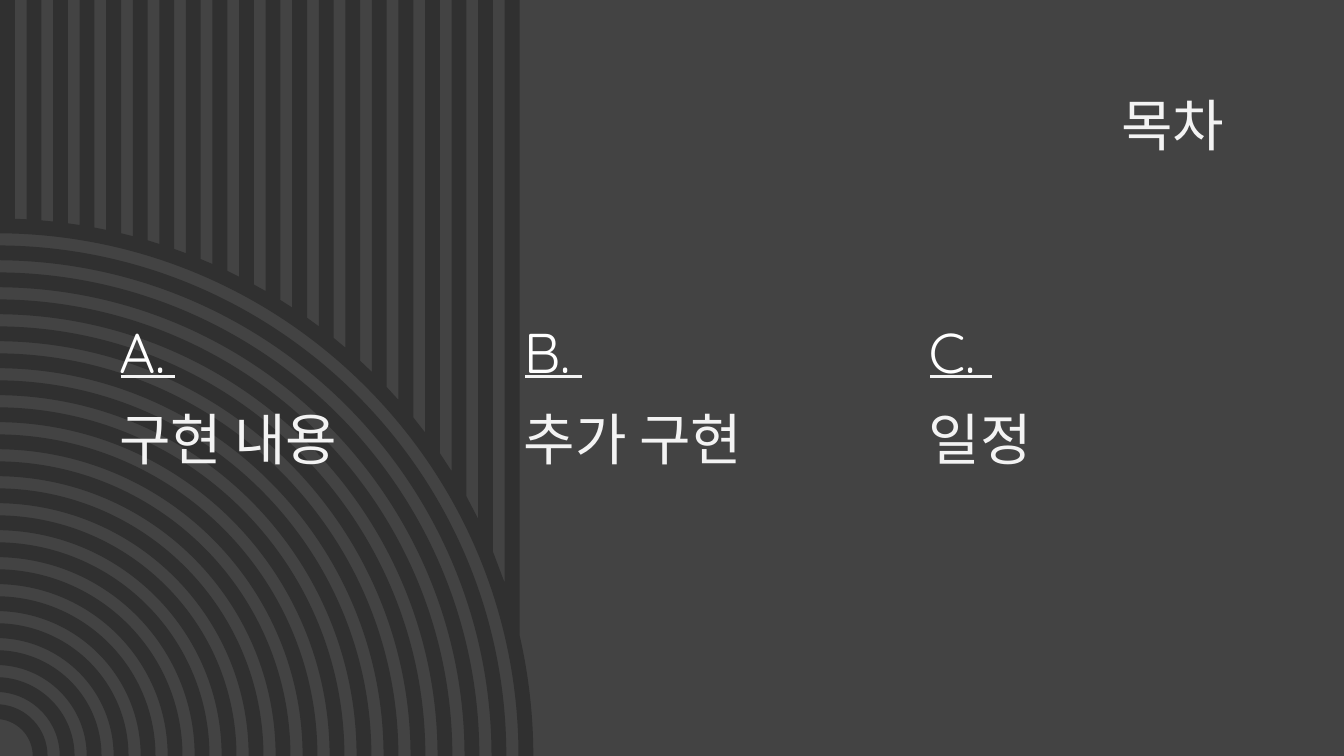
import math

from lxml import etree
from pptx import Presentation
from pptx.dml.color import RGBColor
from pptx.enum import text
from pptx.oxml import ns
from pptx.util import Cm, Pt

# Content: letter, topic, left edge, rule length (cm)
TITLE = "목차"
TOPICS = [
    ("A.", "구현 내용", 2.0, 1.03),
    ("B.", "추가 구현", 9.65, 1.07),
    ("C.", "일정", 17.3, 1.16),
]

BACKGROUND, STRIPE, PALE, WHITE = "434343", "303030", "F3F3F3", "FFFFFF"
WIDTH, HEIGHT = 25.4, 14.29
CENTER_X, CENTER_Y = -0.08, 14.29
BAND = 0.28
RING_COUNT, RING_STEP, RING_RADIUS = 18, 0.51, 9.65
BAR_COUNT, BARS_RIGHT, ARCH_RADIUS = 20, 9.82, 10.16


def color(value):
    return RGBColor.from_string(value)


def arc_y(x, radius):
    return CENTER_Y - math.sqrt(radius ** 2 - (x - CENTER_X) ** 2)


def arc(radius, start_x=0):
    """Start, two handles and end of a curve down to the bottom edge."""
    angle = math.acos((start_x - CENTER_X) / radius)
    handle = 4 / 3 * math.tan(angle / 4) * radius
    start_y = arc_y(start_x, radius)
    return [
        (start_x, start_y),
        (start_x + handle * math.sin(angle), start_y + handle * math.cos(angle)),
        (CENTER_X + radius, CENTER_Y - handle),
        (CENTER_X + radius, CENTER_Y),
    ]


def band(radius, start_x=0):
    """Segments of an outer curve and the inner curve back to the left edge."""
    outer, inner = arc(radius, start_x), arc(radius - BAND)[::-1]
    return [outer[:1], outer[1:], inner[:1], inner[1:]]


def add_outline(segments):
    """Draw segments: one point is a line, three points are a curve."""
    points = [(Cm(x), Cm(y)) for segment in segments for x, y in segment]
    builder = slide.shapes.build_freeform(*points[0])
    builder.add_line_segments(points[1:])
    shape = builder.convert_to_shape()
    shape.shadow.inherit = False
    shape.fill.solid()
    shape.fill.fore_color.rgb = color(STRIPE)
    shape.line.fill.background()

    # Merge the three lines of each curve into one Bézier segment
    lines = iter(list(shape.element.iter(ns.qn("a:lnTo"))))
    for segment in segments[1:]:
        parts = [next(lines) for _ in segment]
        if len(parts) == 3:
            curve = etree.Element(ns.qn("a:cubicBezTo"))
            parts[0].addprevious(curve)
            for part in parts:
                curve.append(part[0])
                part.getparent().remove(part)


def write(shape, content, font, fill, anchor, align, space_after=0):
    frame = shape.text_frame
    frame.word_wrap = True
    frame.auto_size = text.MSO_AUTO_SIZE.NONE
    frame.vertical_anchor = anchor
    frame.margin_left = frame.margin_right = Cm(0.25)
    frame.margin_top = frame.margin_bottom = Cm(0.25)
    paragraph = frame.paragraphs[0]
    paragraph.alignment = align
    paragraph.space_after = Pt(space_after)
    run = paragraph.add_run()
    run.text = content
    run.font.name, run.font.size = font, Pt(30)
    run.font.color.rgb = color(fill)


presentation = Presentation()
presentation.slide_width, presentation.slide_height = Cm(WIDTH), Cm(HEIGHT)
slide = presentation.slides.add_slide(presentation.slide_layouts[5])
slide.background.fill.solid()
slide.background.fill.fore_color.rgb = color(BACKGROUND)

# Vertical bars that run into the outermost arch
pitch = (BARS_RIGHT - BAND) / (BAR_COUNT - 1)
comb = [[(0, 0)]]
for i in range(BAR_COUNT):
    left, right = i * pitch, i * pitch + BAND
    if i:
        comb += [[(left, arc_y(left, ARCH_RADIUS))], [(left, 0)]]
    comb.append([(right, 0)])
    if i < BAR_COUNT - 1:
        comb.append([(right, arc_y(right, ARCH_RADIUS))])
add_outline(comb + band(ARCH_RADIUS, BARS_RIGHT))

# Concentric rings
for i in range(RING_COUNT):
    add_outline(band(RING_RADIUS - i * RING_STEP))

# Title
title = slide.shapes.title
title.left, title.top, title.width, title.height = Cm(14.07), Cm(1.47), Cm(9.32), Cm(2.57)
write(title, TITLE, "Quicksand", PALE, text.MSO_ANCHOR.TOP, text.PP_ALIGN.RIGHT)

# Topics: letter, rule and name
for letter, topic, left, rule_length in TOPICS:
    name_box = slide.shapes.add_textbox(Cm(left), Cm(7.39), Cm(6.1), Cm(4.22))
    write(name_box, topic, "Roboto", PALE, text.MSO_ANCHOR.TOP, text.PP_ALIGN.LEFT, 16)
    letter_box = slide.shapes.add_textbox(Cm(left), Cm(5.87), Cm(6.1), Cm(1.65))
    write(letter_box, letter, "Quicksand", WHITE, text.MSO_ANCHOR.BOTTOM, text.PP_ALIGN.LEFT, 16)

    rule_left = left + 0.28
    rule = slide.shapes.add_connector(
        1, Cm(rule_left), Cm(7.11), Cm(rule_left + rule_length), Cm(7.11))
    rule.line.color.rgb = color(PALE)
    rule.line.width = Pt(1.5)
    etree.SubElement(rule.element.spPr, ns.qn("a:effectLst"))

presentation.save("out.pptx")
